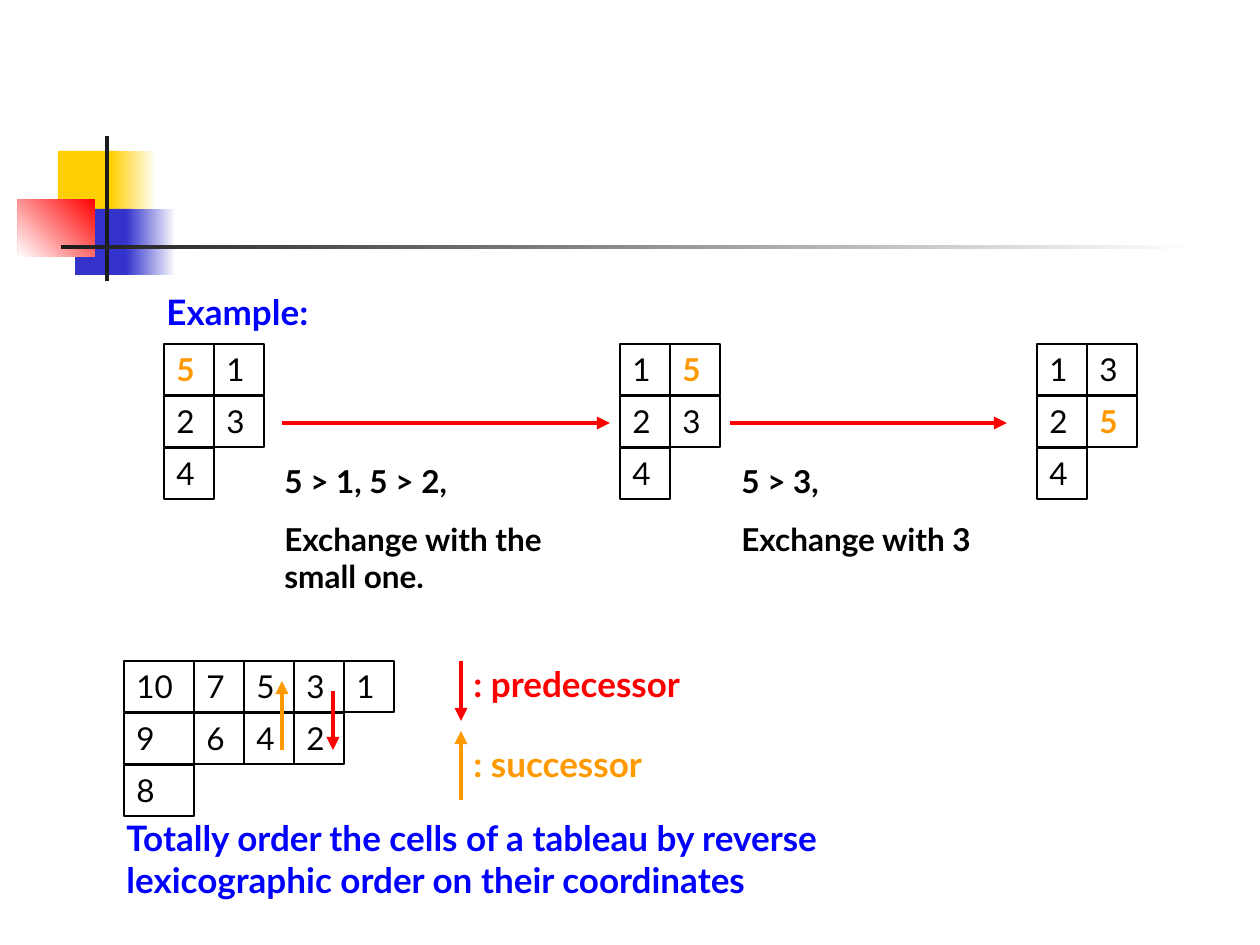
from typing import NamedTuple

from lxml.etree import SubElement
from pptx import Presentation
from pptx.dml.color import RGBColor
from pptx.enum.shapes import MSO_CONNECTOR as Connector, MSO_SHAPE as Shape
from pptx.enum.text import MSO_ANCHOR as Anchor, MSO_AUTO_SIZE as AutoSize, PP_ALIGN as Align
from pptx.oxml.ns import qn
from pptx.util import Emu, Pt

EMU_PER_PX = 914400 / 126
CELL_WIDTH, CELL_HEIGHT, ROW_PITCH = 50, 51, 52
FONT = "Lato"
BLACK, WHITE, INK = "000000", "FFFFFF", "1C1C1C"
RED, ORANGE, BLUE = "FF0000", "FF9900", "0000FF"
YELLOW, INDIGO = "FFCF01", "3333CC"


class Block(NamedTuple):
    """Decorative rectangle; with an angle it fades from its colour to white."""
    left: int
    top: int
    width: int
    height: int
    color: str
    angle: int | None = None


class Tableau(NamedTuple):
    left: int
    top: int
    rows: list[list[int]]
    first_width: int = CELL_WIDTH
    marked: int | None = None


class Arrow(NamedTuple):
    x1: int
    y1: int
    x2: int
    y2: int
    color: str


class Label(NamedTuple):
    left: int
    top: int
    width: int
    height: int
    lines: list[str]
    size: int
    color: str


BLOCKS = [
    Block(58, 151, 60, 66, YELLOW),
    Block(111, 151, 45, 66, YELLOW, 0),
    Block(75, 209, 58, 66, INDIGO),
    Block(126, 209, 50, 66, INDIGO, 0),
    Block(18, 199, 77, 58, RED, 225),
    Block(105, 136, 4, 145, INK),
    Block(61, 245, 1134, 4, INK, 0),
]
TABLEAUX = [
    Tableau(164, 344, [[5, 1], [2, 3], [4]], marked=5),
    Tableau(620, 344, [[1, 5], [2, 3], [4]], marked=5),
    Tableau(1037, 344, [[1, 3], [2, 5], [4]], marked=5),
    Tableau(124, 661, [[10, 7, 5, 3, 1], [9, 6, 4, 2], [8]], first_width=70),
]
ARROWS = [
    Arrow(282, 423, 610, 423, RED),
    Arrow(730, 423, 1007, 423, RED),
    Arrow(333, 691, 333, 750, RED),
    Arrow(461, 661, 461, 721, RED),
    Arrow(282, 750, 282, 681, ORANGE),
    Arrow(461, 800, 461, 731, ORANGE),
]
LABELS = [
    Label(154, 284, 348, 55, ["Example:"], 20, BLUE),
    Label(272, 456, 338, 146, ["5 > 1, 5 > 2,", "Exchange with the small one."], 18, BLACK),
    Label(729, 456, 287, 108, ["5 > 3,", "Exchange with 3"], 18, BLACK),
    Label(114, 810, 848, 97,
          ["Totally order the cells of a tableau by reverse "
           "lexicographic order on their coordinates"], 20, BLUE),
    Label(461, 656, 348, 55, [": predecessor"], 20, RED),
    Label(461, 736, 348, 55, [": successor"], 20, ORANGE),
]


def px(*lengths: int) -> list[Emu]:
    return [Emu(round(length * EMU_PER_PX)) for length in lengths]


def rgb(color: str) -> RGBColor:
    return RGBColor.from_string(color)


def write(shape, lines: list[str], size: int, color: str, bold: bool) -> None:
    frame = shape.text_frame
    frame.word_wrap = True
    frame.auto_size = AutoSize.SHAPE_TO_FIT_TEXT
    frame.vertical_anchor = Anchor.TOP
    for index, line in enumerate(lines):
        paragraph = frame.add_paragraph() if index else frame.paragraphs[0]
        paragraph.alignment = Align.LEFT
        if index:
            paragraph.space_before = Pt(11.2)
        run = paragraph.add_run()
        run.text = line
        run.font.name, run.font.size, run.font.bold = FONT, Pt(size), bold
        run.font.color.rgb = rgb(color)


def draw_block(slide, block: Block) -> None:
    shape = slide.shapes.add_shape(
        Shape.RECTANGLE, *px(block.left, block.top, block.width, block.height))
    shape.shadow.inherit = False
    shape.line.fill.background()
    if block.angle is None:
        shape.fill.solid()
        shape.fill.fore_color.rgb = rgb(block.color)
        return
    shape.fill.gradient()
    shape.fill.gradient_angle = block.angle
    for stop, color in zip(shape.fill.gradient_stops, (block.color, WHITE)):
        stop.color.rgb = rgb(color)


def draw_tableau(slide, tableau: Tableau) -> None:
    group = slide.shapes.add_group_shape()
    for row_index, row in enumerate(tableau.rows):
        left = tableau.left
        top = tableau.top + row_index * ROW_PITCH
        for column, number in enumerate(row):
            width = CELL_WIDTH if column else tableau.first_width
            cell = group.shapes.add_shape(Shape.RECTANGLE, *px(left, top, width, CELL_HEIGHT))
            cell.shadow.inherit = False
            cell.fill.background()
            cell.line.color.rgb = rgb(BLACK)
            cell.line.width = Pt(0.75)
            marked = number == tableau.marked
            write(cell, [str(number)], 18, ORANGE if marked else BLACK, marked)
            left += width


def draw_arrow(slide, arrow: Arrow) -> None:
    connector = slide.shapes.add_connector(
        Connector.STRAIGHT, *px(arrow.x1, arrow.y1, arrow.x2, arrow.y2))
    connector.line.color.rgb = rgb(arrow.color)
    connector.line.width = Pt(2.5)
    SubElement(connector.line._get_or_add_ln(), qn("a:tailEnd"), type="triangle")
    SubElement(connector._element.spPr, qn("a:effectLst"))


def draw_label(slide, label: Label) -> None:
    box = slide.shapes.add_textbox(*px(label.left, label.top, label.width, label.height))
    write(box, label.lines, label.size, label.color, True)


def main() -> None:
    presentation = Presentation()
    presentation.slide_width, presentation.slide_height = px(1260, 945)
    slide = presentation.slides.add_slide(presentation.slide_layouts[6])
    for draw, items in ((draw_block, BLOCKS), (draw_tableau, TABLEAUX),
                        (draw_arrow, ARROWS), (draw_label, LABELS)):
        for item in items:
            draw(slide, item)
    presentation.save("out.pptx")


if __name__ == "__main__":
    main()
